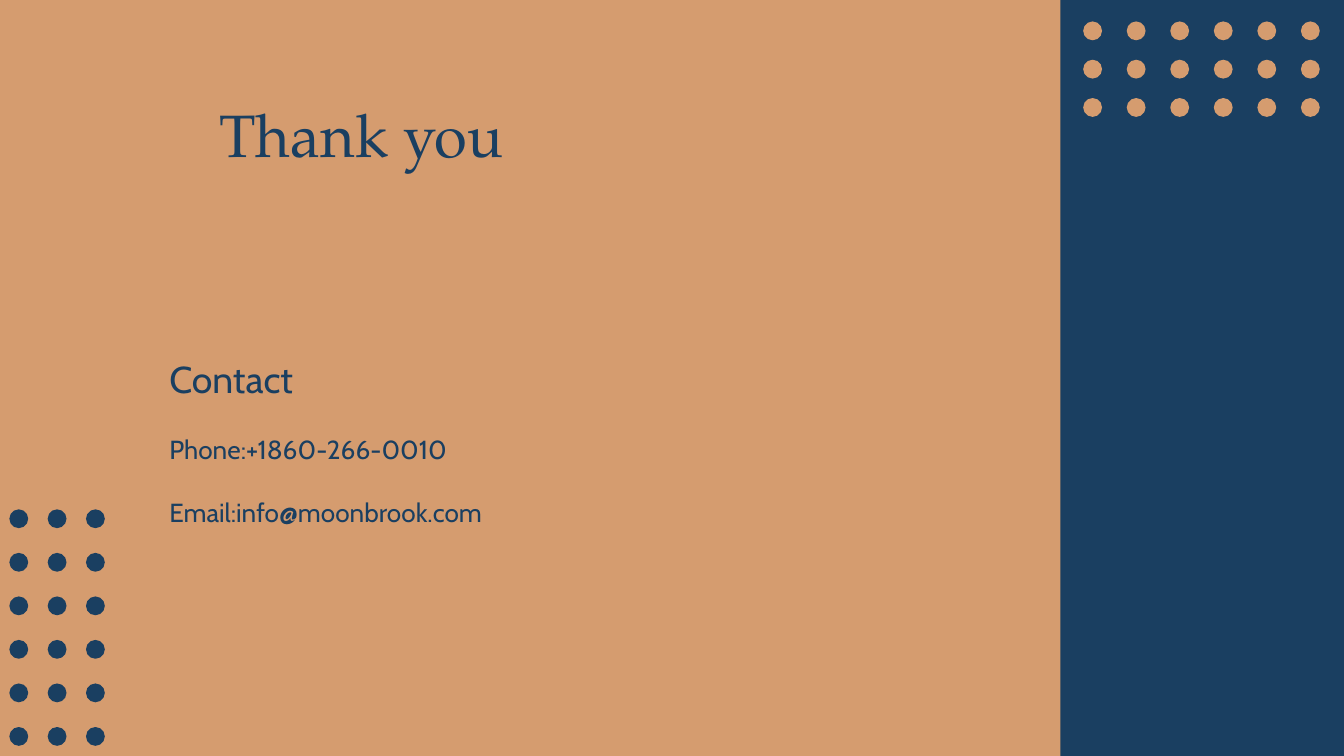
from pptx import Presentation
from pptx.dml.color import RGBColor
from pptx.enum.shapes import MSO_SHAPE
from pptx.enum.text import MSO_ANCHOR, MSO_AUTO_SIZE, PP_ALIGN
from pptx.util import Inches, Pt

NAVY = RGBColor(0x1A, 0x3F, 0x61)
TAN = RGBColor(0xD5, 0x9C, 0x6F)
RECT, OVAL = MSO_SHAPE.RECTANGLE, MSO_SHAPE.OVAL
TOP, MIDDLE = MSO_ANCHOR.TOP, MSO_ANCHOR.MIDDLE
LEFT, CENTER = PP_ALIGN.LEFT, PP_ALIGN.CENTER
NO_FIT = MSO_AUTO_SIZE.NONE

WIDE = 10
HIGH = WIDE * 9 / 16
SERIF, SANS = "TeX Gyre Pagella", "Cabin"
DOT = 0.14
LONG, SHORT = 1.62, 0.57


def add_form(shapes, kind, box, color):
    form = shapes.add_shape(kind, *map(Inches, box))
    form.shadow.inherit = False
    form.fill.solid()
    form.fill.fore_color.rgb = color
    form.line.fill.background()


def add_dots(slide, left, top, cols, rows, width, height, color):
    group = slide.shapes.add_group_shape()
    for row in range(rows):
        for col in range(cols):
            x = left + col * width / (cols - 1)
            y = top + row * height / (rows - 1)
            add_form(group.shapes, OVAL, (x, y, DOT, DOT), color)


def fill_text(holder, box, lines, face, align, anchor, gap=0):
    holder.left, holder.top, holder.width, holder.height = map(Inches, box)
    frame = holder.text_frame
    frame.word_wrap = True
    frame.auto_size = NO_FIT
    frame.vertical_anchor = anchor
    frame.margin_left = frame.margin_right = Inches(0.1)
    frame.margin_top = frame.margin_bottom = Inches(0.1)
    frame.text = "\n".join(text for text, size in lines)
    for i, (para, (text, size)) in enumerate(zip(frame.paragraphs, lines)):
        para.alignment = align
        para.space_before = Pt(gap if i else 0)
        para.font.name = face
        para.font.size = Pt(size)
        para.font.color.rgb = NAVY
        props = para._p.get_or_add_pPr()
        props.set("marL", "0")
        props.set("indent", "0")
        bullet = props.makeelement(
            "{http://schemas.openxmlformats.org/drawingml/2006/main}buNone", {})
        props.insert(len(props) - 1, bullet)


def main():
    deck = Presentation()
    deck.slide_width, deck.slide_height = Inches(WIDE), Inches(HIGH)
    slide = deck.slides.add_slide(deck.slide_layouts[1])
    back = slide.background.fill
    back.solid()
    back.fore_color.rgb = TAN

    add_form(slide.shapes, RECT, (7.89, 0, WIDE - 7.89, HIGH), NAVY)
    add_dots(slide, 8.06, 0.16, 6, 3, LONG, SHORT, TAN)
    add_dots(slide, 0.07, 3.79, 3, 6, SHORT, LONG, NAVY)

    title, body = slide.placeholders
    fill_text(title, (-1.77, 0.63, 8.92, 0.8), [("Thank you", 32)],
              SERIF, CENTER, TOP)
    contact = [
        ("Contact", 20),
        ("Phone:+1860-266-0010", 14),
        ("Email:info@moonbrook.com", 14),
    ]
    fill_text(body, (1.16, 1.74, 4.62, 3.1), contact, SANS, LEFT, MIDDLE, 17)
    deck.save("out.pptx")


if __name__ == "__main__":
    main()
